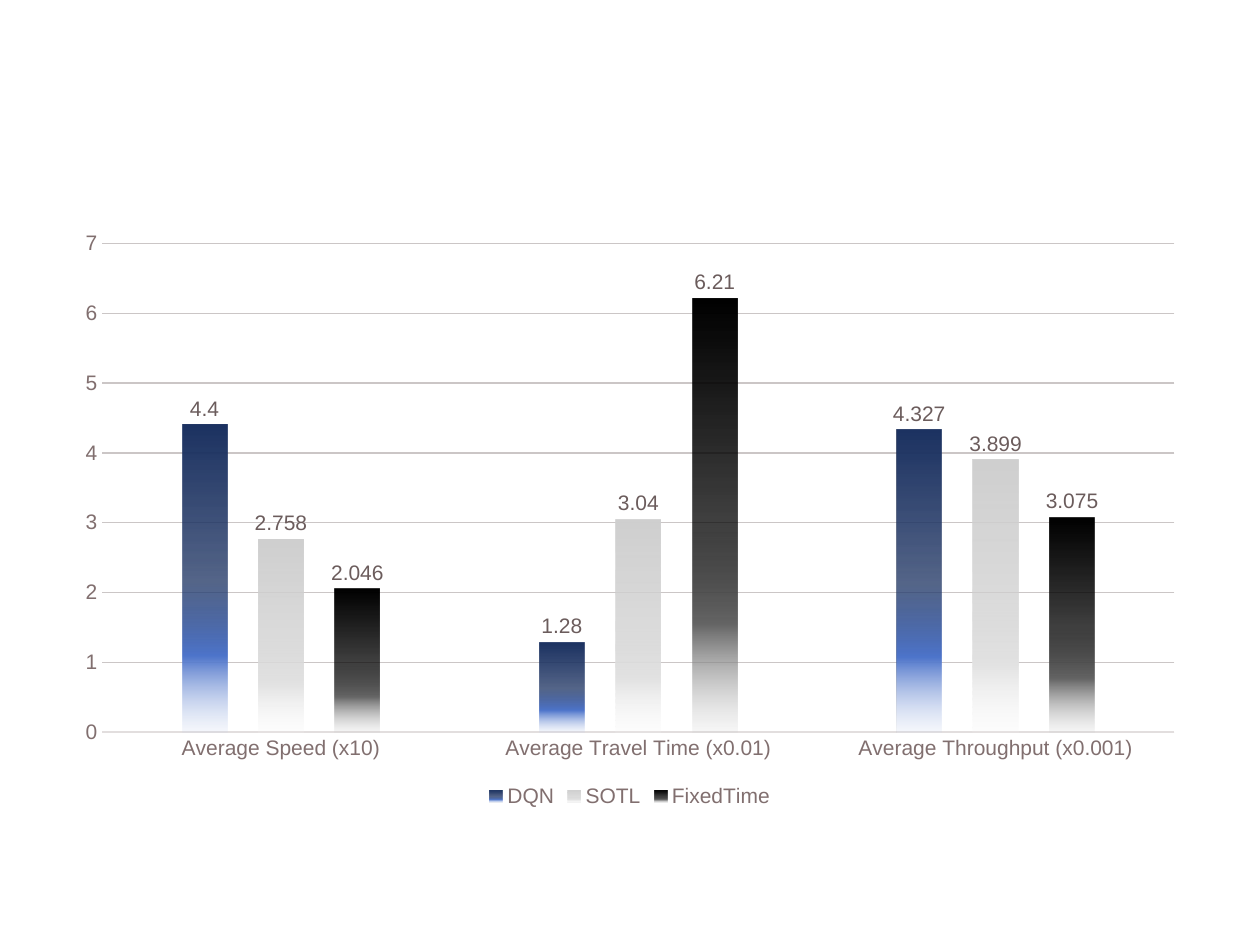
import dataclasses

import lxml.etree
import pptx
import pptx.chart.data
import pptx.dml.color
import pptx.enum.chart
import pptx.oxml.ns
import pptx.util


@dataclasses.dataclass(frozen=True)
class Theme:
    font: str = "Arial"
    base_size: int = 10
    text_size: int = 12
    base: str = "332C2C"
    axis_text: str = "816F6F"
    label_text: str = "6B5C5C"
    axis_line: str = "E2DEDE"
    grid_line: str = "CBC6C6"
    line_width: float = 0.75
    stops: tuple = ((0, 100), (51, 75), (75, 100), (100, 15))
    gradients: tuple = (
        ("1D3362", "1D3362", "4E75CB", "C4D1EE"),
        ("D0D0D0", "D0D0D0", "E3E3E3", "F6F6F6"),
        ("000000", "000000", "666666", "CCCCCC"),
    )


def set_all(obj, **values):
    for name, value in values.items():
        setattr(obj, name, value)


class Deck:
    COLS, ROWS = 40, 30

    def __init__(self, theme):
        self.theme = theme
        self.prs = pptx.Presentation()
        set_all(self.prs, slide_width=pptx.util.Inches(10), slide_height=pptx.util.Inches(7.5))
        self.s = None

    def add_slide(self):
        self.s = self.prs.slides.add_slide(self.prs.slide_layouts[6])

    def box(self, col, row, cols, rows):
        dx = self.prs.slide_width / self.COLS
        dy = self.prs.slide_height / self.ROWS
        return [round(v) for v in (col * dx, row * dy, cols * dx, rows * dy)]

    def font(self, font, color, size=None):
        set_all(font, name=self.theme.font, size=pptx.util.Pt(size or self.theme.text_size), bold=False)
        font.color.rgb = pptx.dml.color.RGBColor.from_string(color)

    def line(self, line, color):
        line.width = pptx.util.Pt(self.theme.line_width)
        line.color.rgb = pptx.dml.color.RGBColor.from_string(color)

    def gradient(self, series, colors):
        qn = pptx.oxml.ns.qn
        series.format.fill.solid()
        sp_pr = series._element.find(qn("c:spPr"))
        grad = lxml.etree.Element(qn("a:gradFill"), rotWithShape="1")
        stops = lxml.etree.SubElement(grad, qn("a:gsLst"))
        for (pos, alpha), color in zip(self.theme.stops, colors):
            gs = lxml.etree.SubElement(stops, qn("a:gs"), pos=str(pos * 1000))
            rgb = lxml.etree.SubElement(gs, qn("a:srgbClr"), val=color)
            if alpha < 100:
                lxml.etree.SubElement(rgb, qn("a:alpha"), val=str(alpha * 1000))
        lxml.etree.SubElement(grad, qn("a:lin"), ang="5400000", scaled="0")
        sp_pr.replace(sp_pr.find(qn("a:solidFill")), grad)
        series.format.line.fill.background()

    def axes(self, chart):
        none = pptx.enum.chart.XL_TICK_MARK.NONE
        cat, val = chart.category_axis, chart.value_axis
        for axis in (cat, val):
            set_all(axis, major_tick_mark=none, minor_tick_mark=none)
            self.font(axis.tick_labels.font, self.theme.axis_text)
        set_all(val, minimum_scale=0, maximum_scale=7, major_unit=1, has_major_gridlines=True)
        self.line(cat.format.line, self.theme.axis_line)
        self.line(val.major_gridlines.format.line, self.theme.grid_line)
        val.format.line.fill.background()

    def column_chart(self, box, categories, values):
        t, enum = self.theme, pptx.enum.chart
        data = pptx.chart.data.CategoryChartData()
        data.categories = categories
        for name, numbers in values.items():
            data.add_series(name, numbers)
        chart = self.s.shapes.add_chart(
            enum.XL_CHART_TYPE.COLUMN_CLUSTERED, *self.box(*box), data).chart
        set_all(chart, has_title=False, has_legend=True)
        self.font(chart.font, t.base, t.base_size)
        set_all(chart.legend, position=enum.XL_LEGEND_POSITION.BOTTOM, include_in_layout=False)
        self.font(chart.legend.font, t.axis_text)
        self.axes(chart)
        plot = chart.plots[0]
        set_all(plot, gap_width=355, overlap=-70, vary_by_categories=False)
        for series, colors in zip(plot.series, t.gradients):
            self.gradient(series, colors)
            labels = series.data_labels
            set_all(labels, show_value=True, position=enum.XL_LABEL_POSITION.OUTSIDE_END)
            self.font(labels.font, t.label_text)


def main():
    deck = Deck(Theme())
    deck.add_slide()
    deck.column_chart(
        (2, 7, 36, 18.8),
        ["Average Speed (x10)", "Average Travel Time (x0.01)", "Average Throughput (x0.001)"],
        {
            "DQN": (4.4, 1.28, 4.327),
            "SOTL": (2.758, 3.04, 3.899),
            "FixedTime": (2.046, 6.21, 3.075),
        },
    )
    deck.prs.save("out.pptx")


if __name__ == "__main__":
    main()
